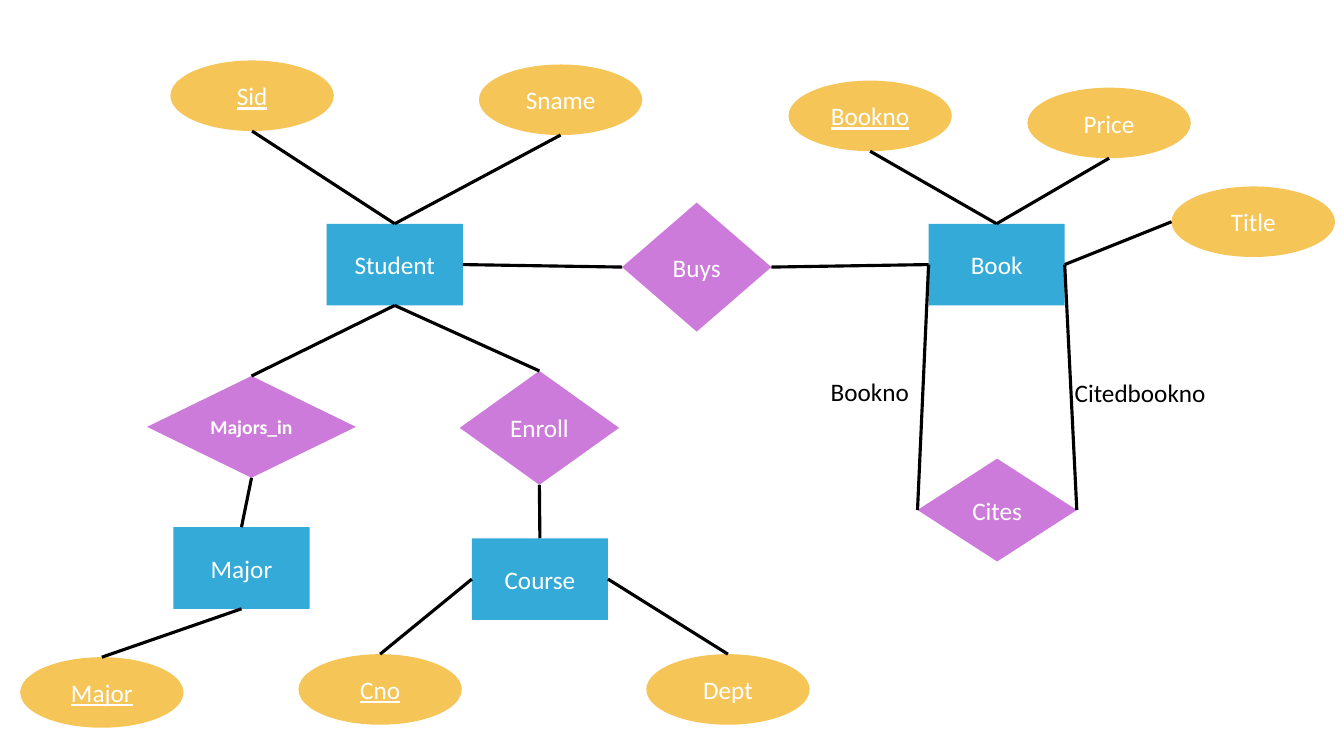
from pptx import Presentation
from pptx.dml.color import RGBColor
from pptx.enum.shapes import MSO_CONNECTOR, MSO_SHAPE
from pptx.enum.text import MSO_ANCHOR, PP_ALIGN
from pptx.oxml.ns import qn
from pptx.util import Inches, Pt
from lxml import etree

YELLOW = RGBColor(0xF5, 0xC5, 0x58)
BLUE = RGBColor(0x33, 0xAA, 0xD7)
PURPLE = RGBColor(0xCD, 0x7B, 0xDA)
WHITE = RGBColor(0xFF, 0xFF, 0xFF)
BLACK = RGBColor(0, 0, 0)
FONT = "Calibri"
TOP, LEFT, BOTTOM, RIGHT = range(4)

# Entities: key -> text, left, top
ENTITY_SIZE = (1.35, 0.81)
ENTITIES = {
    "student": ("Student", 3.24, 2.22),
    "course": ("Course", 4.68, 5.34),
    "book": ("Book", 9.21, 2.22),
    "major": ("Major", 1.72, 5.23),
}

# Attributes: key -> text, left, top, is key attribute
ATTRIBUTE_SIZE = (1.62, 0.7)
ATTRIBUTES = {
    "sid": ("Sid", 1.69, 0.6, True),
    "sname": ("Sname", 4.75, 0.64, False),
    "bookno": ("Bookno", 7.82, 0.8, True),
    "price": ("Price", 10.19, 0.87, False),
    "title": ("Title", 11.62, 1.85, False),
    "major_name": ("Major", 0.2, 6.52, True),
    "cno": ("Cno", 2.96, 6.49, True),
    "dept": ("Dept", 6.41, 6.49, False),
}

# Relationships: key -> text, left, top, width, height, size, bold
RELATIONSHIPS = {
    "buys": ("Buys", 6.17, 2.01, 1.48, 1.28, 18, False),
    "cites": ("Cites", 9.1, 4.55, 1.58, 1.02, 18, False),
    "majors_in": ("Majors_in", 1.46, 3.73, 2.07, 1.01, 14, True),
    "enroll": ("Enroll", 4.56, 3.68, 1.58, 1.13, 18, False),
}

# Links: from, side, to, side
LINKS = [
    ("sid", BOTTOM, "student", TOP),
    ("sname", BOTTOM, "student", TOP),
    ("student", RIGHT, "buys", LEFT),
    ("buys", RIGHT, "book", LEFT),
    ("bookno", BOTTOM, "book", TOP),
    ("price", BOTTOM, "book", TOP),
    ("title", LEFT, "book", RIGHT),
    ("cites", LEFT, "book", LEFT),
    ("cites", RIGHT, "book", RIGHT),
    ("student", BOTTOM, "majors_in", TOP),
    ("student", BOTTOM, "enroll", TOP),
    ("majors_in", BOTTOM, "major", TOP),
    ("enroll", BOTTOM, "course", TOP),
    ("major", BOTTOM, "major_name", TOP),
    ("course", LEFT, "cno", TOP),
    ("course", RIGHT, "dept", TOP),
]

# Role labels: text, left, top, width, height
ROLES = [
    ("Bookno", 8.14, 3.68, 0.99, 0.4),
    ("Citedbookno", 10.56, 3.69, 1.52, 0.4),
]

prs = Presentation()
prs.slide_width, prs.slide_height = Inches(13.33), Inches(7.5)
shapes = prs.slides.add_slide(prs.slide_layouts[6]).shapes
nodes = {}


def set_text(sp, text, color, size=18, bold=False, underline=False):
    tf = sp.text_frame
    tf.text = text
    tf.word_wrap = False
    font = tf.paragraphs[0].runs[0].font
    font.name, font.size, font.color.rgb = FONT, Pt(size), color
    font.bold, font.underline = bold, underline


def add_node(key, kind, color, box, text, **style):
    sp = nodes[key] = shapes.add_shape(kind, *map(Inches, box))
    sp.shadow.inherit = False
    sp.fill.solid()
    sp.fill.fore_color.rgb = color
    sp.line.fill.background()
    set_text(sp, text, WHITE, **style)
    sp.text_frame.vertical_anchor = MSO_ANCHOR.MIDDLE
    sp.text_frame.paragraphs[0].alignment = PP_ALIGN.CENTER


def side_point(sp, side):
    dx, dy = {TOP: (1, 0), LEFT: (0, 1), BOTTOM: (1, 2), RIGHT: (2, 1)}[side]
    return sp.left + sp.width * dx // 2, sp.top + sp.height * dy // 2


def add_link(start, start_side, end, end_side):
    a, b = nodes[start], nodes[end]
    line = shapes.add_connector(MSO_CONNECTOR.STRAIGHT,
                                *side_point(a, start_side), *side_point(b, end_side))
    # Ellipses number their connection sites differently, so only four-sided nodes are joined
    if start not in ATTRIBUTES:
        line.begin_connect(a, start_side)
    if end not in ATTRIBUTES:
        line.end_connect(b, end_side)
    line.line.color.rgb = BLACK
    line.line.width = Pt(2.25)
    etree.SubElement(line._element.spPr, qn("a:effectLst"))


# Nodes
for key, (text, x, y, is_key) in ATTRIBUTES.items():
    add_node(key, MSO_SHAPE.OVAL, YELLOW, (x, y, *ATTRIBUTE_SIZE), text, underline=is_key)
for key, (text, x, y) in ENTITIES.items():
    add_node(key, MSO_SHAPE.RECTANGLE, BLUE, (x, y, *ENTITY_SIZE), text)
for key, (text, *box, size, bold) in RELATIONSHIPS.items():
    add_node(key, MSO_SHAPE.DIAMOND, PURPLE, box, text, size=size, bold=bold)

# Links
for link in LINKS:
    add_link(*link)

# Role labels
for text, *box in ROLES:
    set_text(shapes.add_textbox(*map(Inches, box)), text, BLACK)

prs.save("out.pptx")
